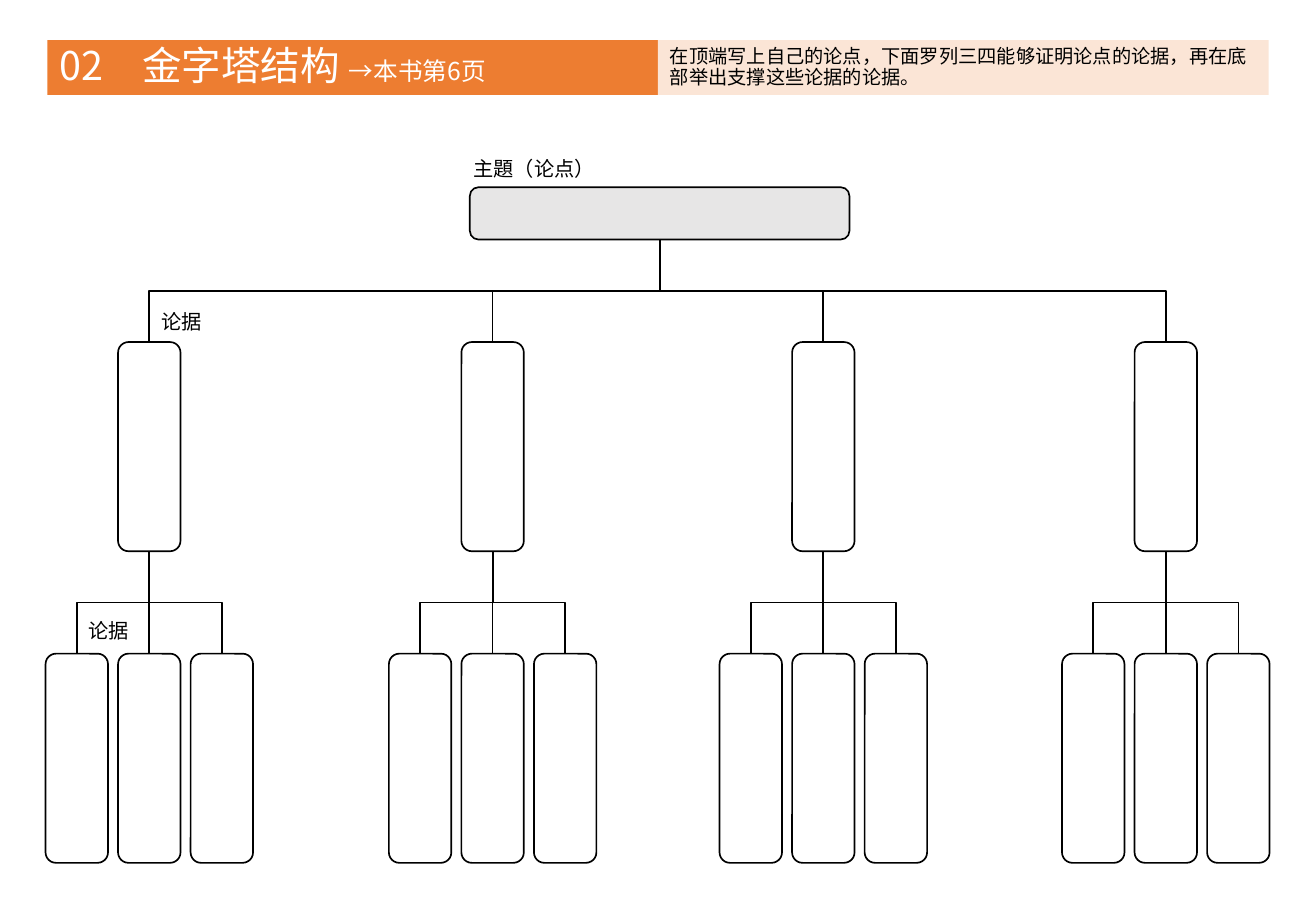
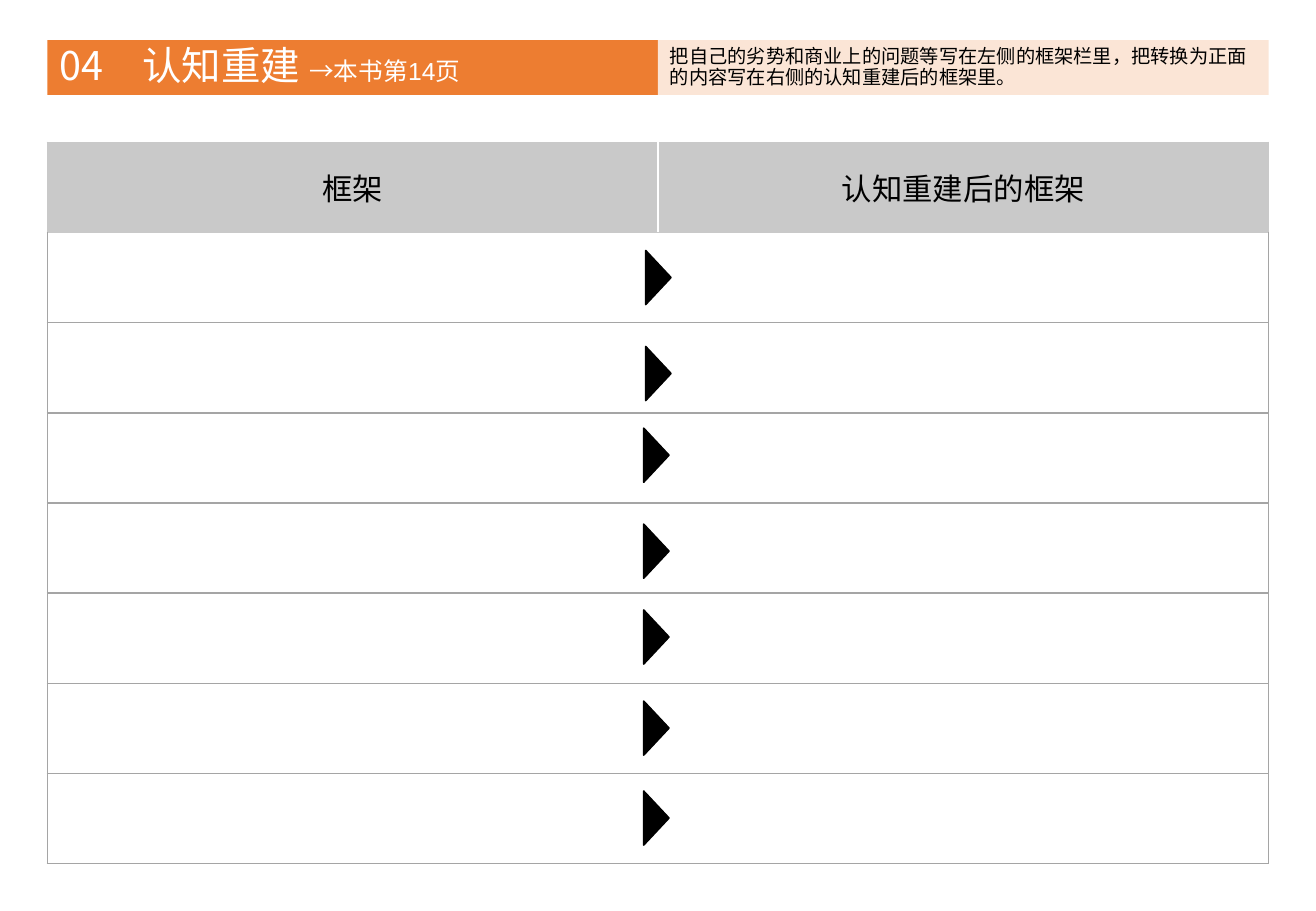
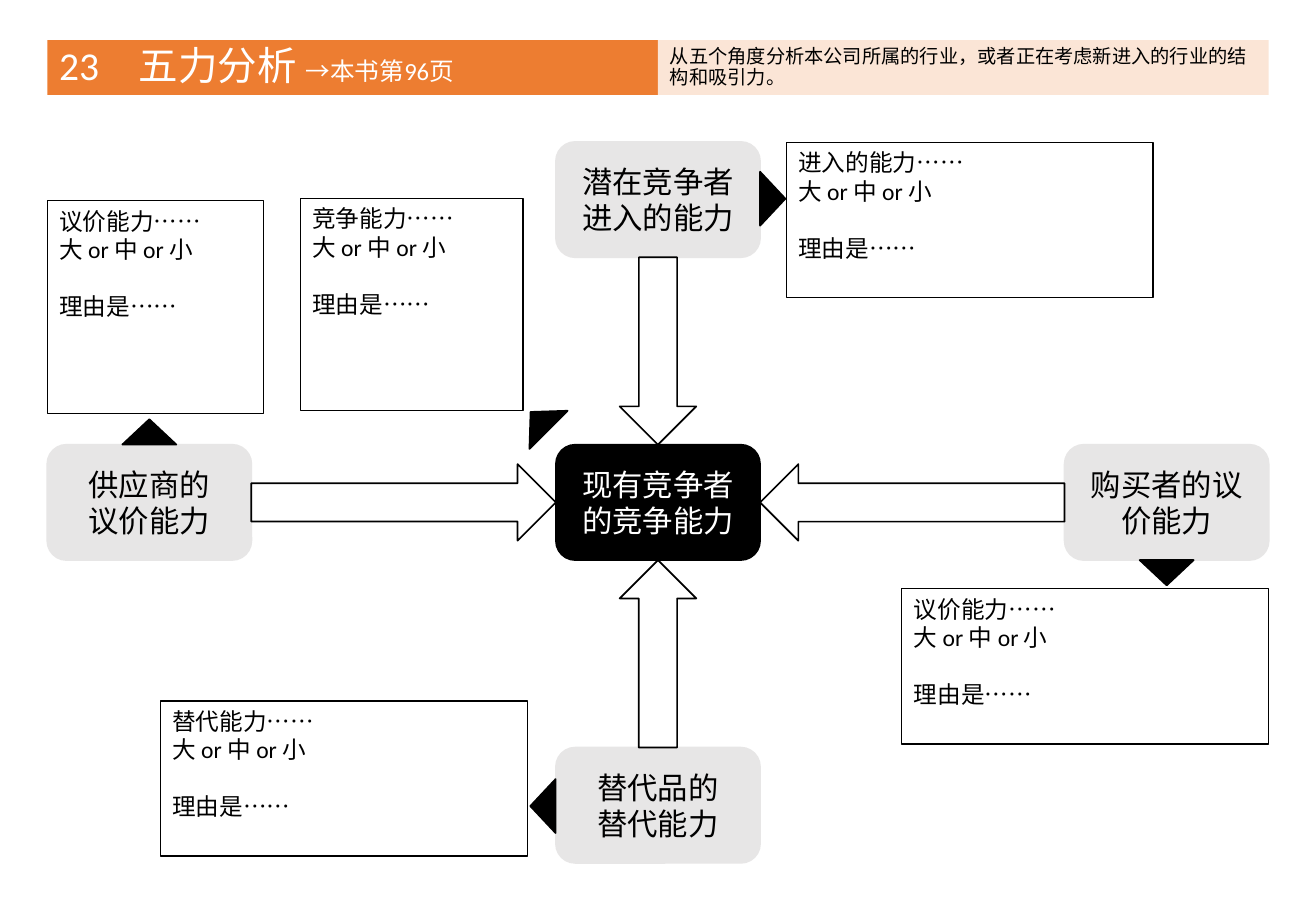
"""Build three business-framework worksheets: pyramid structure, reframing and five forces."""
from lxml.etree import SubElement
from pptx import Presentation
from pptx.dml.color import RGBColor
from pptx.enum.shapes import MSO_CONNECTOR, MSO_SHAPE
from pptx.enum.text import MSO_ANCHOR, PP_ALIGN
from pptx.oxml import parse_xml
from pptx.oxml.ns import nsdecls, qn
from pptx.util import Pt

ORANGE = RGBColor(0xED, 0x7D, 0x31)
PEACH = RGBColor(0xFB, 0xE5, 0xD6)
BLACK = RGBColor(0, 0, 0)
WHITE = RGBColor(0xFF, 0xFF, 0xFF)
LIGHT_GREY = RGBColor(0xE7, 0xE6, 0xE6)
HEADER_GREY = RGBColor(0xC9, 0xC9, 0xC9)
RULE_GREY = RGBColor(0xA5, 0xA5, 0xA5)
CJK = "Noto Sans CJK SC"
LATIN = "Calibri"

MARGIN, HALF, CENTER = 28, 362, 390
BAND_TOP, BAND_HEIGHT = 23.8, 32.4
BODY_TOP = 84.4
POINTER_W, POINTER_H = 32, 15


def set_font(font, size, color, name=LATIN):
    font.size = Pt(size)
    font.color.rgb = color
    font.name = name
    SubElement(font._element, qn("a:ea")).set("typeface", CJK)


def add_box(slide, preset, left, top, width, height, fill=None, line=None, weight=1, rotation=0):
    box = slide.shapes.add_shape(preset, Pt(left), Pt(top), Pt(width), Pt(height))
    box.shadow.inherit = False
    box.rotation = rotation
    if fill is None:
        box.fill.background()
    else:
        box.fill.solid()
        box.fill.fore_color.rgb = fill
    if line is None:
        box.line.fill.background()
    else:
        box.line.color.rgb = line
        box.line.width = Pt(weight)
    return box


prs = Presentation()
prs.slide_width, prs.slide_height = Pt(780), Pt(540)

headings = [
    ([("02　金字塔结构 ", 23.4, CJK), ("→本书第6页", 14.6, CJK)], CJK,
     "在顶端写上自己的论点，下面罗列三四能够证明论点的论据，再在底部举出支撑这些论据的论据。"),
    ([("04　", 23.4, CJK), ("认知重建 ", 23.4, "Arial"), ("→本书第14页", 14.6, "Arial")], CJK,
     "把自己的劣势和商业上的问题等写在左侧的框架栏里，把转换为正面的内容写在右侧的认知重建后的框架里。"),
    ([("23　五力分析 ", 23.4, LATIN), ("→本书第96页", 14.6, LATIN)], LATIN,
     "从五个角度分析本公司所属的行业，或者正在考虑新进入的行业的结构和吸引力。"),
]
slides = []
for title_parts, guide_font, guide_text in headings:
    slide = prs.slides.add_slide(prs.slide_layouts[6])
    slides.append(slide)
    title = add_box(slide, MSO_SHAPE.RECTANGLE, MARGIN, BAND_TOP, HALF, BAND_HEIGHT, ORANGE)
    guide = add_box(slide, MSO_SHAPE.RECTANGLE, CENTER, BAND_TOP, HALF, BAND_HEIGHT, PEACH)
    for band in (title, guide):
        band.text_frame.paragraphs[0].alignment = PP_ALIGN.LEFT
        band.text_frame.paragraphs[0].line_spacing = 0.9
    for text, size, name in title_parts:
        part = title.text_frame.paragraphs[0].add_run()
        part.text = text
        set_font(part.font, size, WHITE, name)
    guide.text_frame.paragraphs[0].text = guide_text
    set_font(guide.text_frame.paragraphs[0].font, 11.4, BLACK, guide_font)

pyramid, reframing, five_forces = slides

CARD_W, CARD_H, CARD_STEP = 37, 124, 43
REASON_TOP, EVIDENCE_TOP = 202.8, 387.5
claim = add_box(pyramid, MSO_SHAPE.ROUNDED_RECTANGLE, 278.5, 111, 225, 31, LIGHT_GREY, BLACK)
links = []
for reason_x in (88.5, 292, 488, 691):
    reason = add_box(pyramid, MSO_SHAPE.ROUNDED_RECTANGLE, reason_x - CARD_W / 2, REASON_TOP,
                     CARD_W, CARD_H, WHITE, BLACK)
    links.append((claim, reason))
    for step in (-1, 0, 1):
        evidence = add_box(pyramid, MSO_SHAPE.ROUNDED_RECTANGLE,
                           reason_x + step * CARD_STEP - CARD_W / 2, EVIDENCE_TOP,
                           CARD_W, CARD_H, WHITE, BLACK)
        links.append((reason, evidence))

for parent, child in links:
    start_x, start_y = parent.left + parent.width // 2, parent.top + parent.height
    end_x, end_y = child.left + child.width // 2, child.top
    across, down = end_x - start_x, end_y - start_y
    bent = abs(across) > Pt(1)
    link = pyramid.shapes.add_connector(MSO_CONNECTOR.ELBOW if bent else MSO_CONNECTOR.STRAIGHT,
                                        start_x, start_y, end_x, end_y)
    link.begin_connect(parent, 2)
    link.end_connect(child, 0)
    if bent:
        link.left = (start_x + end_x - down) // 2
        link.top = (start_y + end_y - abs(across)) // 2
        link.width, link.height = down, abs(across)
        xfrm = link._element.spPr.xfrm
        xfrm.set("rot", "16200000" if across > 0 else "5400000")
        xfrm.set("flipH", "1" if across > 0 else "0")
    link.line.color.rgb = BLACK
    link.line.width = Pt(1)
    SubElement(link._element.spPr, qn("a:effectLst"))

for text, left, top, width in (("主題（论点）", 273.6, 89.3, 87), ("论据", 88.5, 180, 39),
                               ("论据", 45.4, 363, 39)):
    label = pyramid.shapes.add_textbox(Pt(left), Pt(top), Pt(width), Pt(21.6)).text_frame
    label.word_wrap = False
    label.text = text
    set_font(label.paragraphs[0].font, 12, BLACK)

ROWS, ROW_H = 8, 53.45
frames = reframing.shapes.add_table(ROWS, 2, Pt(MARGIN), Pt(BODY_TOP), Pt(2 * HALF),
                                    Pt(ROWS * ROW_H)).table
frames.first_row = frames.horz_banding = False
frames._tbl.tblPr.find(qn("a:tableStyleId")).text = "{2D5ABB26-0587-4C30-8999-92F81FD0307C}"
for r in range(ROWS):
    frames.rows[r].height = Pt(ROW_H)
    for c in range(2):
        cell = frames.cell(r, c)
        cell.fill.solid()
        cell.fill.fore_color.rgb = WHITE if r else HEADER_GREY
        edge = RULE_GREY if r else HEADER_GREY
        inner = None if r else WHITE
        borders = {"lnL": inner if c else edge, "lnR": edge if c else inner,
                   "lnT": RULE_GREY if r > 1 else HEADER_GREY, "lnB": edge}
        for position, (side, color) in enumerate(borders.items()):
            paint = f'<a:solidFill><a:srgbClr val="{color}"/></a:solidFill>' if color else "<a:noFill/>"
            cell._tc.tcPr.insert(position, parse_xml(
                f'<a:{side} {nsdecls("a")} w="12700">{paint}</a:{side}>'))
for c, header in enumerate(("框架", "认知重建后的框架")):
    cell = frames.cell(0, c)
    cell.text = header
    cell.vertical_anchor = MSO_ANCHOR.MIDDLE
    cell.text_frame.paragraphs[0].alignment = PP_ALIGN.CENTER
    set_font(cell.text_frame.paragraphs[0].font, 18, BLACK)

pointers = [(reframing, x, y, 90) for x, y in (
    (390.2, 164.5), (390.2, 221.4), (389, 269.8), (389, 326.7), (389, 377.6), (389, 431.6),
    (389, 484.9))]

HUB_Y, REACH_X, REACH_Y = 297.8, 301.5, 179.5
FORCE_W, FORCE_H, ARROW_H = 121, 68.4, 45.4
forces = [
    ("现有竞争者的竞争能力", 0, 0, None),
    ("供应商的\n议价能力", -1, 0, 0),
    ("购买者的议价能力", 1, 0, 180),
    ("潜在竞争者\n进入的能力", 0, -1, 90),
    ("替代品的\n替代能力", 0, 1, 270),
]
for text, side_x, side_y, turn in forces:
    hub = turn is None
    fill = BLACK if hub else LIGHT_GREY
    force = add_box(five_forces, MSO_SHAPE.ROUNDED_RECTANGLE,
                    CENTER + side_x * REACH_X - FORCE_W / 2, HUB_Y + side_y * REACH_Y - FORCE_H / 2,
                    FORCE_W, FORCE_H, fill, fill)
    force.text_frame.text = text
    for paragraph in force.text_frame.paragraphs:
        paragraph.alignment = PP_ALIGN.CENTER
        set_font(paragraph.font, 18, WHITE if hub else BLACK)
    if not hub:
        length = REACH_X - FORCE_W if side_x else REACH_Y - FORCE_H
        add_box(five_forces, MSO_SHAPE.RIGHT_ARROW, CENTER + side_x * REACH_X / 2 - length / 2,
                HUB_Y + side_y * REACH_Y / 2 - ARROW_H / 2, length, ARROW_H, None, BLACK,
                rotation=turn)

notes = [
    ("进入的能力……", 466, 84.4, 217.5, 92),
    ("议价能力……", 534.5, 349, 217.5, 92),
    ("替代能力……", 95, 415.5, 217.5, 92),
    ("议价能力……", 28, 119, 128, 126),
    ("竞争能力……", 178, 117.5, 132, 126),
]
for topic, left, top, width, height in notes:
    note = add_box(five_forces, MSO_SHAPE.RECTANGLE, left, top, width, height, None, BLACK, 0.75)
    note.text_frame.vertical_anchor = MSO_ANCHOR.TOP
    note.text_frame.text = f"{topic}\n大 or 中 or 小\n理由是……"
    for paragraph in note.text_frame.paragraphs:
        paragraph.alignment = PP_ALIGN.LEFT
        set_font(paragraph.font, 14, BLACK)
    note.text_frame.paragraphs[2].space_before = Pt(17)

pointers += [(five_forces, x, y, turn) for x, y, turn in (
    (88.5, 256, 0), (691.5, 339.5, 180), (458, 117.8, 90), (321.8, 477.8, 270), (319.8, 249.5, 315))]
for slide, x, y, turn in pointers:
    add_box(slide, MSO_SHAPE.ISOSCELES_TRIANGLE, x - POINTER_W / 2, y - POINTER_H / 2,
            POINTER_W, POINTER_H, BLACK, BLACK, rotation=turn)

prs.save("out.pptx")
